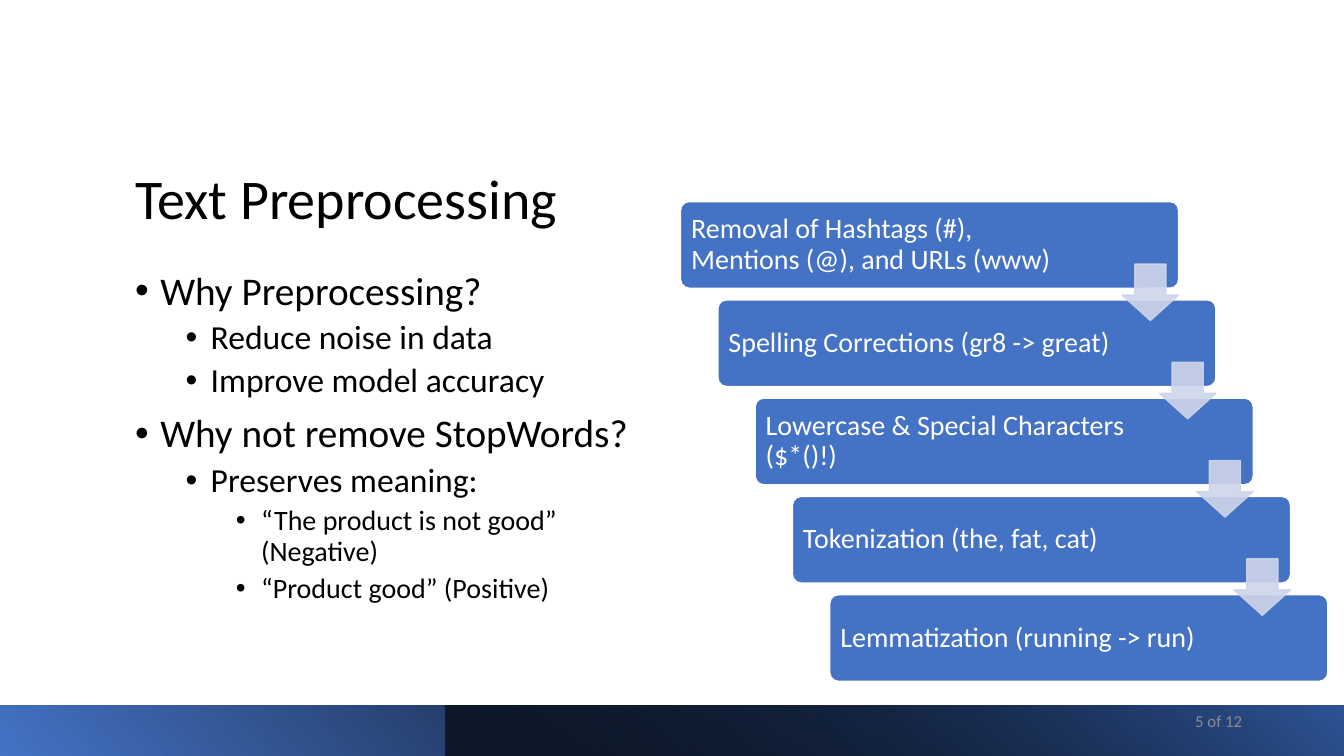
"""Build the Text Preprocessing slide with its staircase of cleaning steps."""
from typing import NamedTuple

from lxml import etree
from pptx import Presentation
from pptx import util as u
from pptx.dml.color import RGBColor
from pptx.enum import shapes, text
from pptx.oxml import ns

BLACK = RGBColor(0x00, 0x00, 0x00)
WHITE = RGBColor(0xFF, 0xFF, 0xFF)
BLUE = RGBColor(0x44, 0x72, 0xC4)
NAVY = RGBColor(0x2F, 0x55, 0x97)
PALE = RGBColor(0xCF, 0xD5, 0xEA)
GREY = RGBColor(0x8C, 0x8C, 0x8C)
FONT = "Calibri"


class Stop(NamedTuple):
    position: int
    color: RGBColor
    opacity: int = 100


class Band(NamedTuple):
    left: float
    width: float
    rotation: int
    angle: int
    stops: tuple[Stop, ...]


class Level(NamedTuple):
    size: int
    margin: float
    before: int


class Point(NamedTuple):
    level: int
    wording: str


BANDS = (
    Band(0, 13.33, 180, 40, (Stop(0, BLUE), Stop(78, BLACK))),
    Band(4.42, 8.92, 0, 230, (Stop(0, BLACK, 63), Stop(100, NAVY))),
)
LEVELS = (Level(28, 0.25, 10), Level(24, 0.75, 5), Level(20, 1.25, 5))
POINTS = (
    Point(0, "Why Preprocessing?"),
    Point(1, "Reduce noise in data"),
    Point(1, "Improve model accuracy"),
    Point(0, "Why not remove StopWords?"),
    Point(1, "Preserves meaning:"),
    Point(2, "“The product is not good” (Negative)"),
    Point(2, "“Product good” (Positive)"),
)
STEPS = (
    "Removal of Hashtags (#), Mentions (@), and URLs (www)",
    "Spelling Corrections (gr8 -> great)",
    "Lowercase & Special Characters ($*()!)",
    "Tokenization (the, fat, cat)",
    "Lemmatization (running -> run)",
)
STEP_RIGHT, STEP_DOWN = 0.37, 0.975


def box(left: float, top: float, width: float, height: float) -> tuple:
    return tuple(u.Inches(side) for side in (left, top, width, height))


def move(placeholder, area: tuple) -> None:
    placeholder.left, placeholder.top, placeholder.width, placeholder.height = area


def format_runs(paragraph, size: int, color: RGBColor) -> None:
    for run in paragraph.runs:
        run.font.name, run.font.size = FONT, u.Pt(size)
        run.font.color.rgb = color


def set_opacity(color_element, percent: int) -> None:
    etree.SubElement(color_element, ns.qn("a:alpha")).set("val", str(percent * 1000))


def add_title(slide, wording: str) -> None:
    title = slide.shapes.title
    move(title, box(1.24, 0.55, 5.42, 1.8))
    frame = title.text_frame
    frame.text = wording
    frame.auto_size = text.MSO_AUTO_SIZE.NONE
    frame.vertical_anchor = text.MSO_ANCHOR.BOTTOM
    paragraph = frame.paragraphs[0]
    paragraph.alignment = text.PP_ALIGN.LEFT
    paragraph.line_spacing = 0.9
    format_runs(paragraph, 40, BLACK)


def add_points(slide) -> None:
    body = slide.placeholders[1]
    move(body, box(1.24, 2.64, 5.42, 3.85))
    frame = body.text_frame
    frame.text = "\n".join(point.wording for point in POINTS)
    frame.auto_size = text.MSO_AUTO_SIZE.NONE
    for paragraph, point in zip(frame.paragraphs, POINTS):
        level = LEVELS[point.level]
        paragraph.level = point.level
        paragraph.line_spacing = 0.9
        paragraph.space_before = u.Pt(level.before)
        properties = paragraph._p.get_or_add_pPr()
        properties.set("marL", str(u.Inches(level.margin)))
        properties.set("indent", str(u.Inches(-0.25)))
        etree.SubElement(properties, ns.qn("a:buFont")).set("typeface", "Arial")
        etree.SubElement(properties, ns.qn("a:buChar")).set("char", "•")
        format_runs(paragraph, level.size, BLACK)


def add_band(slide, band: Band) -> None:
    bar = slide.shapes.add_shape(
        shapes.MSO_SHAPE.RECTANGLE, *box(band.left, 7, band.width, 0.5))
    bar.shadow.inherit = False
    bar.line.fill.background()
    bar.rotation = band.rotation
    bar._element.spPr.find(ns.qn("a:xfrm")).set("flipH", "1")
    bar.fill.gradient()
    gradient = bar._element.spPr.find(ns.qn("a:gradFill"))
    gradient.set("rotWithShape", "1")
    gradient.find(ns.qn("a:lin")).set("ang", str(band.angle * 60000))
    stop_list = gradient.find(ns.qn("a:gsLst"))
    for preset in list(stop_list):
        stop_list.remove(preset)
    for stop in band.stops:
        entry = etree.SubElement(stop_list, ns.qn("a:gs"))
        entry.set("pos", str(stop.position * 1000))
        color = etree.SubElement(entry, ns.qn("a:srgbClr"))
        color.set("val", str(stop.color))
        if stop.opacity < 100:
            set_opacity(color, stop.opacity)


def add_step(slide, index: int, wording: str) -> None:
    step = slide.shapes.add_shape(
        shapes.MSO_SHAPE.ROUNDED_RECTANGLE,
        *box(6.75 + index * STEP_RIGHT, 2 + index * STEP_DOWN, 4.94, 0.86))
    step.adjustments[0] = 0.1
    step.shadow.inherit = False
    step.fill.solid()
    step.fill.fore_color.rgb = BLUE
    step.line.color.rgb, step.line.width = WHITE, u.Pt(1)
    frame = step.text_frame
    frame.text = wording
    frame.word_wrap = True
    frame.vertical_anchor = text.MSO_ANCHOR.MIDDLE
    frame.margin_left = frame.margin_top = frame.margin_bottom = u.Inches(0.08)
    frame.margin_right = u.Inches(1)
    paragraph = frame.paragraphs[0]
    paragraph.alignment = text.PP_ALIGN.LEFT
    paragraph.line_spacing = 0.9
    format_runs(paragraph, 20, WHITE)


def add_arrow(slide, index: int) -> None:
    arrow = slide.shapes.add_shape(
        shapes.MSO_SHAPE.DOWN_ARROW,
        *box(11.13 + index * STEP_RIGHT, 2.62 + index * STEP_DOWN, 0.56, 0.56))
    arrow.adjustments[0], arrow.adjustments[1] = 0.55, 0.45
    arrow.shadow.inherit = False
    arrow.fill.solid()
    arrow.fill.fore_color.rgb = PALE
    arrow.line.color.rgb, arrow.line.width = PALE, u.Pt(1)
    for color in arrow._element.spPr.iter(ns.qn("a:srgbClr")):
        set_opacity(color, 90)


def add_page_number(slide, wording: str) -> None:
    frame = slide.shapes.add_textbox(*box(9.42, 6.95, 3, 0.4)).text_frame
    frame.text = wording
    frame.word_wrap = True
    frame.vertical_anchor = text.MSO_ANCHOR.MIDDLE
    frame.paragraphs[0].alignment = text.PP_ALIGN.RIGHT
    format_runs(frame.paragraphs[0], 12, GREY)


def main() -> None:
    deck = Presentation()
    deck.slide_width, deck.slide_height = u.Inches(13.33), u.Inches(7.5)
    slide = deck.slides.add_slide(deck.slide_layouts[1])
    add_title(slide, "Text Preprocessing")
    add_points(slide)
    for band in BANDS:
        add_band(slide, band)
    for index, wording in enumerate(STEPS):
        add_step(slide, index, wording)
    for index in range(len(STEPS) - 1):
        add_arrow(slide, index)
    add_page_number(slide, "5 of 12")
    deck.save("out.pptx")


if __name__ == "__main__":
    main()
